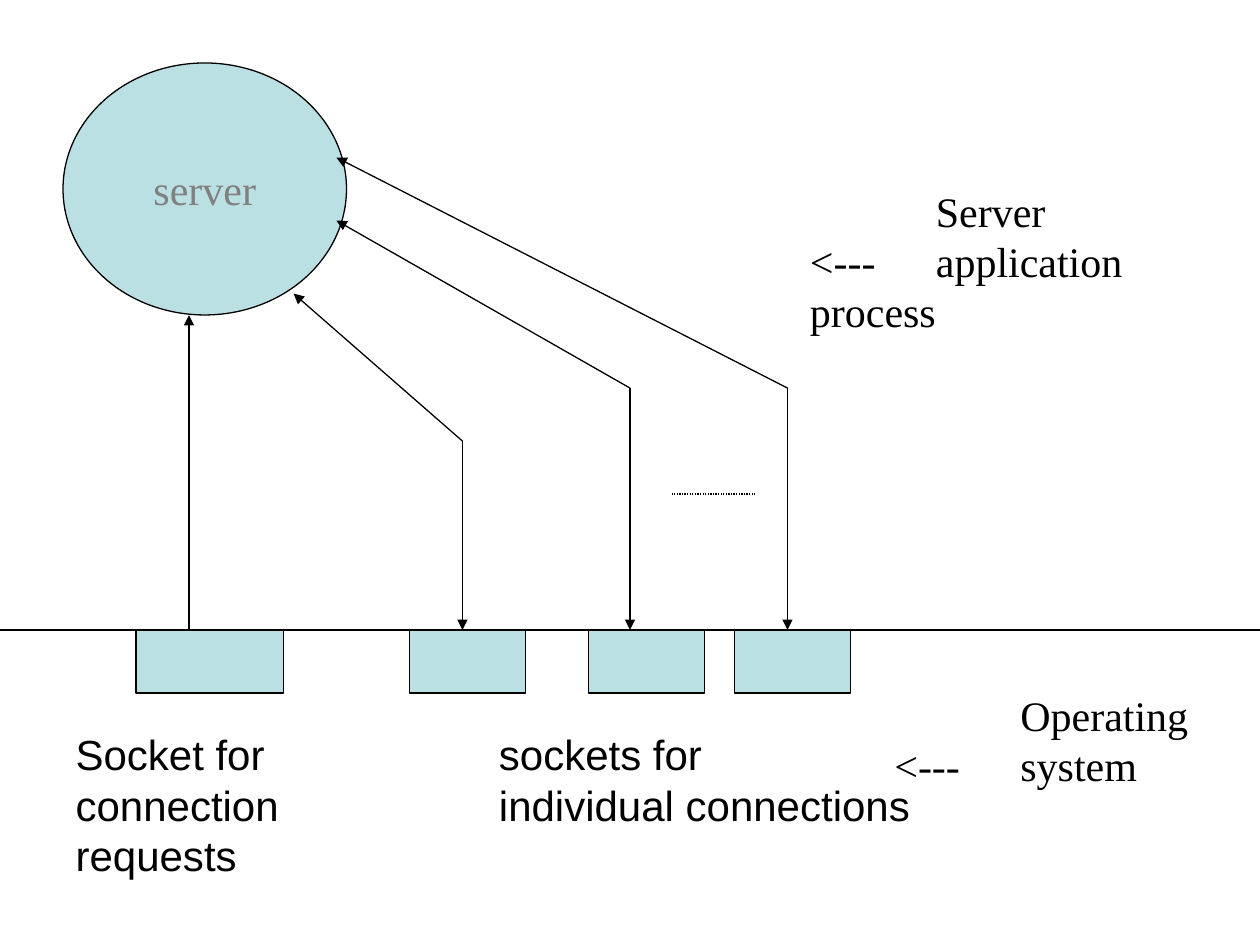
"""Build a slide showing a server process and its operating system sockets."""
import pptx
import pptx.dml.color
import pptx.enum.dml
import pptx.enum.shapes
import pptx.enum.text
import pptx.oxml
import pptx.oxml.ns
import pptx.util
from lxml import etree

Inches = pptx.util.Inches
BLACK = pptx.dml.color.RGBColor(0x00, 0x00, 0x00)
GRAY = pptx.dml.color.RGBColor(0x80, 0x80, 0x80)
TEAL = pptx.dml.color.RGBColor(0xBB, 0xE0, 0xE3)
SHAPE = pptx.enum.shapes.MSO_SHAPE
ANCHOR = pptx.enum.text.MSO_ANCHOR
ALIGN = pptx.enum.text.PP_ALIGN
FLOOR = 5


def add_line(x1, y1, x2, y2, arrow=False):
    cx = s.shapes.add_connector(pptx.enum.shapes.MSO_CONNECTOR.STRAIGHT,
                                Inches(x1), Inches(y1), Inches(x2), Inches(y2))
    cx.line.color.rgb = BLACK
    cx.line.width = pptx.util.Pt(0.75)
    if arrow:
        ln = cx.line._get_or_add_ln()
        etree.SubElement(ln, pptx.oxml.ns.qn("a:tailEnd"), type="triangle")
    etree.SubElement(cx._element.spPr, pptx.oxml.ns.qn("a:effectLst"))
    return cx


def set_text(sp, text, font, color, align=ALIGN.LEFT, tab=None):
    p = sp.text_frame.paragraphs[0]
    p.text = text
    p.alignment = align
    if tab:
        tabs = etree.SubElement(p._p.get_or_add_pPr(), pptx.oxml.ns.qn("a:tabLst"))
        etree.SubElement(tabs, pptx.oxml.ns.qn("a:tab"), pos=str(Inches(tab)), algn="l")
    p.font.name = font
    p.font.size = pptx.util.Pt(24)
    p.font.color.rgb = color


prs = pptx.Presentation()
prs.slide_width, prs.slide_height = Inches(10), Inches(7.5)
s = prs.slides.add_slide(prs.slide_layouts[5])

title = s.shapes.title
title.left, title.top, title.width, title.height = Inches(0.5), Inches(6), Inches(8.5), Inches(1.17)
tf = title.text_frame
tf.word_wrap = True
tf.auto_size = pptx.enum.text.MSO_AUTO_SIZE.NONE
tf.vertical_anchor = ANCHOR.MIDDLE
tf.margin_bottom = Inches(0.45)
set_text(title, "Socket for\tsockets for\vconnection\tindividual connections\vrequests",
         "Arial", BLACK, tab=3.36)

add_line(10, FLOOR, 0, FLOOR)

server = s.shapes.add_shape(SHAPE.OVAL, Inches(0.5), Inches(0.5), Inches(2.25), Inches(2))
sockets = [s.shapes.add_shape(SHAPE.RECTANGLE, Inches(x), Inches(FLOOR), Inches(w), Inches(0.5))
           for x, w in [(1.08, 1.17), (3.25, 0.92), (4.67, 0.92), (5.83, 0.92)]]
for sp in [server, *sockets]:
    sp.shadow.inherit = False
    sp.fill.solid()
    sp.fill.fore_color.rgb = TEAL
    sp.line.color.rgb = BLACK
    sp.line.width = pptx.util.Pt(0.75)
server.text_frame.word_wrap = False
server.text_frame.vertical_anchor = ANCHOR.MIDDLE
set_text(server, "server", "Times New Roman", GRAY, ALIGN.CENTER)

add_line(1.5, FLOOR, 1.5, 2.5, arrow=True)
for x, y, server_x, server_y in [(3.67, 3.5, 2.33, 2.33), (5, 3.08, 2.67, 1.75),
                                 (6.25, 3.08, 2.67, 1.25)]:
    add_line(x, y, server_x, server_y, arrow=True)
    add_line(x, y, x, FLOOR, arrow=True)

ellipsis = add_line(5.33, 3.92, 6, 3.92)
ellipsis.line.dash_style = pptx.enum.dml.MSO_LINE.ROUND_DOT

for x, y, w, h, text in [(6.33, 1.42, 3.33, 1.3, "\tServer\v<---\tapplication\vprocess"),
                         (7, 5.42, 2.67, 0.9, "\tOperating\v<---\tsystem")]:
    label = s.shapes.add_textbox(Inches(x), Inches(y), Inches(w), Inches(h))
    label.text_frame.word_wrap = True
    set_text(label, text, "Times New Roman", BLACK, tab=1)

prs.save("out.pptx")
